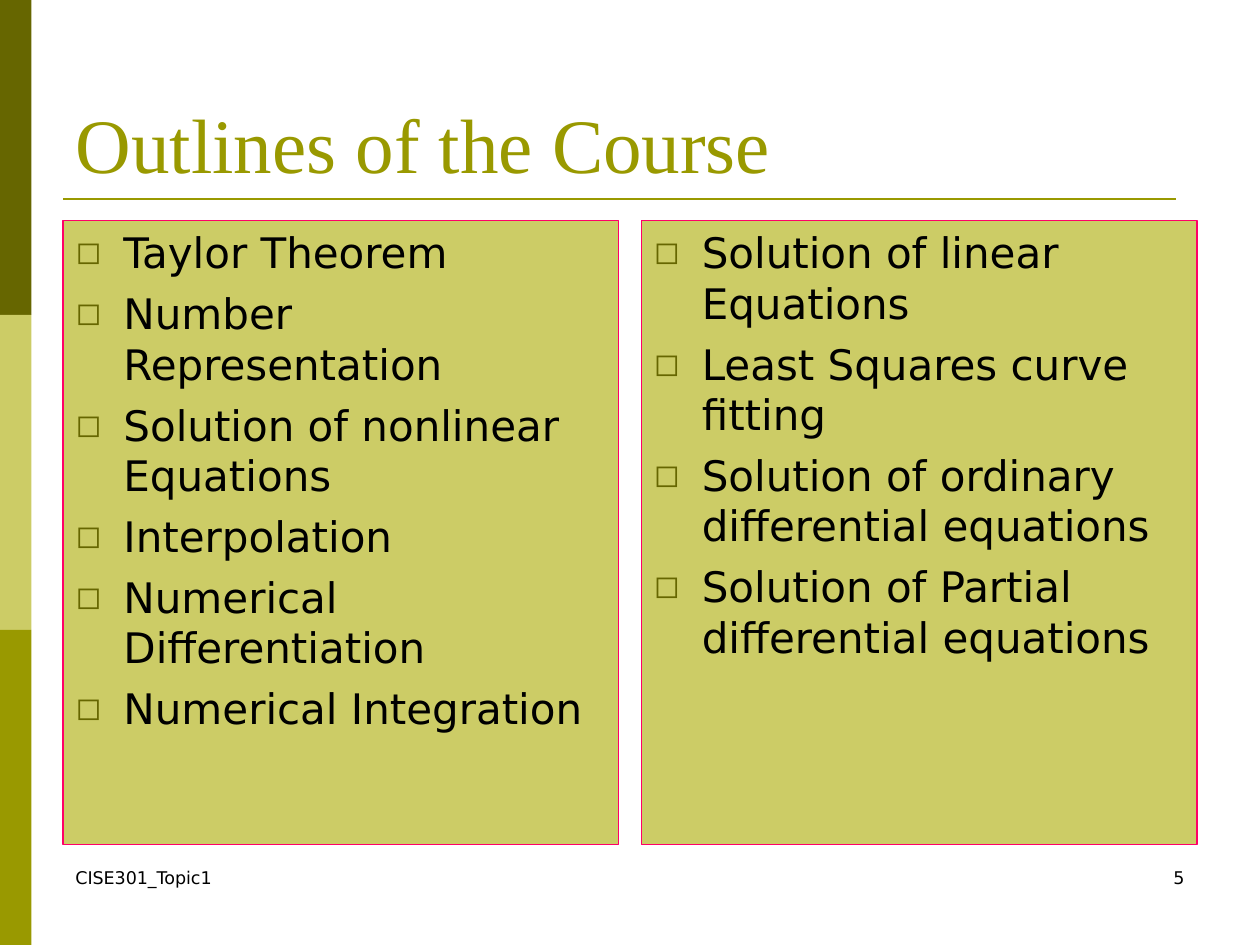
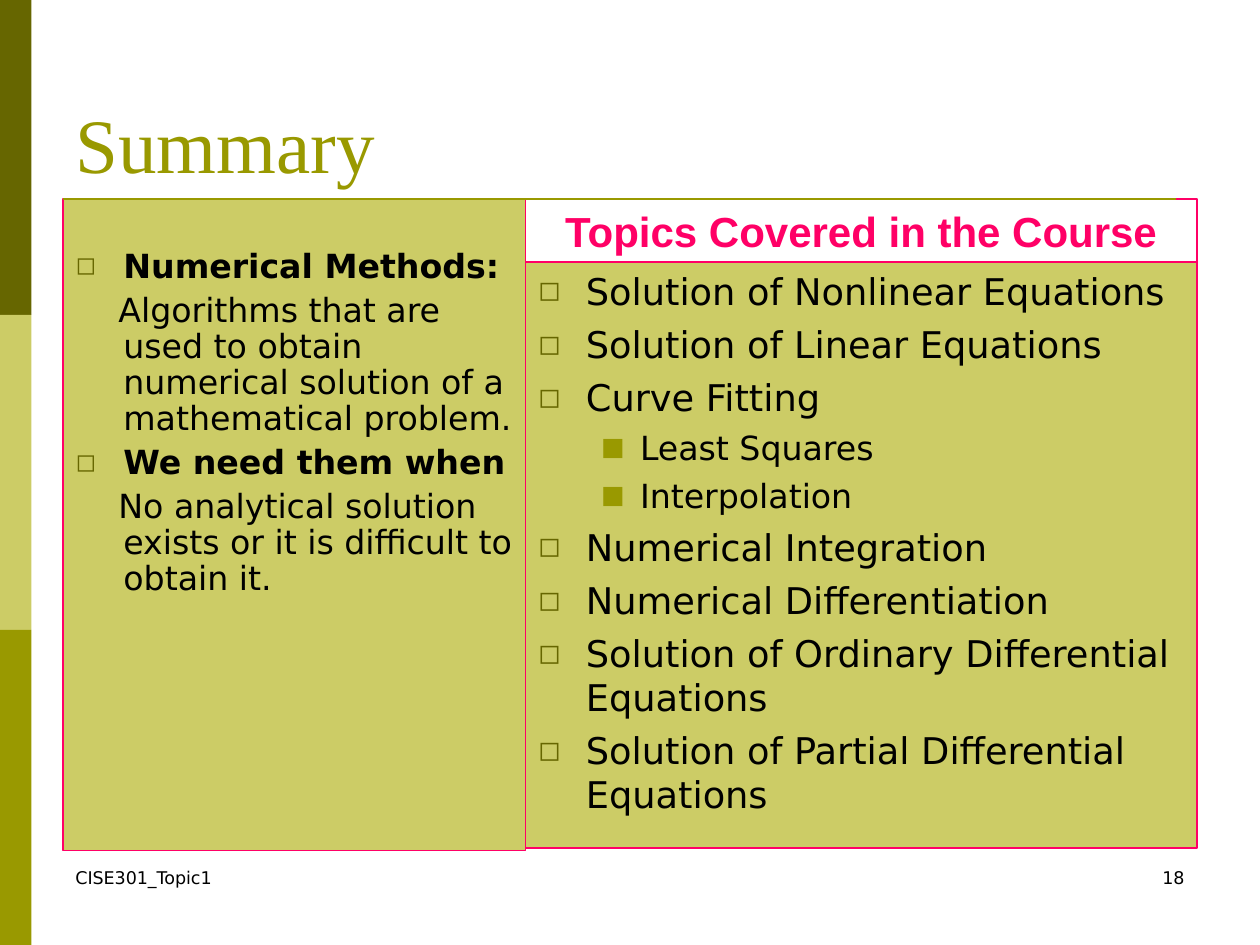
from lxml import etree
from pptx import Presentation
from pptx.dml.color import RGBColor
from pptx.enum.shapes import MSO_CONNECTOR, MSO_SHAPE
from pptx.enum.text import MSO_ANCHOR, MSO_AUTO_SIZE, PP_ALIGN
from pptx.oxml.ns import qn
from pptx.util import Inches, Pt

LEFT, CENTER, RIGHT = PP_ALIGN.LEFT, PP_ALIGN.CENTER, PP_ALIGN.RIGHT
TOP, MIDDLE, BOTTOM = MSO_ANCHOR.TOP, MSO_ANCHOR.MIDDLE, MSO_ANCHOR.BOTTOM
NO_AUTOFIT = MSO_AUTO_SIZE.NONE
RECTANGLE, STRAIGHT = MSO_SHAPE.RECTANGLE, MSO_CONNECTOR.STRAIGHT

DARK, PALE, OLIVE, PINK, BLACK = "666600", "CCCC66", "999900", "FF0066", "000000"
BODY_FONT, TITLE_FONT, HEADING_FONT = "DejaVu Sans", "Times New Roman", "Arial"
TWO_CONTENT_LAYOUT = 3
COURSE = "CISE301_Topic1"

BULLET = {"margin": 0.38, "indent": -0.38, "char": "◻", "color": DARK, "level": 0}
SUB_BULLET = {"margin": 0.81, "indent": -0.31, "char": "■", "color": OLIVE, "level": 1}
PLAIN = {"margin": 0.38, "indent": -0.04, "char": None, "color": None, "level": 0}

OUTLINE_COLUMNS = [
    ["Taylor Theorem", "Number Representation", "Solution of nonlinear Equations",
     "Interpolation", "Numerical Differentiation", "Numerical Integration"],
    ["Solution of linear Equations", "Least Squares curve fitting",
     "Solution of ordinary differential equations",
     "Solution of Partial differential equations"],
]
METHODS = [
    ("Numerical Methods:",
     "Algorithms that are used to obtain numerical solution of a mathematical problem."),
    ("We need them when",
     "No analytical solution exists or it is difficult to obtain it."),
]
TOPICS = [
    ("Solution of Nonlinear Equations", []),
    ("Solution of Linear Equations", []),
    ("Curve Fitting", ["Least Squares", "Interpolation"]),
    ("Numerical Integration", []),
    ("Numerical Differentiation", []),
    ("Solution of Ordinary Differential Equations", []),
    ("Solution of Partial Differential Equations", []),
]


def rgb(value):
    """Turn a hex string into a colour."""
    return RGBColor.from_string(value)


def apply(target, values):
    """Set attributes of an object from a dict."""
    for name, value in values.items():
        setattr(target, name, value)


def place(shape, box):
    """Move a shape to a box of left, top, width and height in inches."""
    apply(shape, dict(zip(("left", "top", "width", "height"), map(Inches, box))))


def prepare_frame(shape, anchor=TOP, inset_top=0.05):
    """Give a shape's text frame fixed margins and anchoring."""
    frame = shape.text_frame
    apply(frame, {
        "word_wrap": True, "auto_size": NO_AUTOFIT, "vertical_anchor": anchor,
        "margin_left": Inches(0.1), "margin_right": Inches(0.1),
        "margin_top": Inches(inset_top), "margin_bottom": Inches(0.05),
    })
    return frame


def write(paragraph, text, size, font=BODY_FONT, color=BLACK, bold=False, align=LEFT):
    """Write one formatted run into a paragraph."""
    paragraph.alignment = align
    run = paragraph.add_run()
    run.text = text
    apply(run.font, {"size": Pt(size), "name": font, "bold": bold})
    run.font.color.rgb = rgb(color)


def outline(shape):
    """Draw the thin pink border of a panel."""
    shape.line.color.rgb = rgb(PINK)
    shape.line.width = Pt(0.75)


def format_bullet(paragraph, style):
    """Set the indents and bullet of a paragraph."""
    paragraph.level = style["level"]
    properties = paragraph._p.get_or_add_pPr()
    properties.set("marL", str(Inches(style["margin"])))
    properties.set("indent", str(Inches(style["indent"])))
    if style["char"] is None:
        etree.SubElement(properties, qn("a:buNone"))
        return
    color = etree.SubElement(properties, qn("a:buClr"))
    etree.SubElement(color, qn("a:srgbClr"), val=style["color"])
    etree.SubElement(properties, qn("a:buSzPct"), val="75000")
    etree.SubElement(properties, qn("a:buFont"), typeface=BODY_FONT)
    etree.SubElement(properties, qn("a:buChar"), char=style["char"])


def fill_panel(shape, box, items, line_spacing=1.0, inset_top=0.05):
    """Turn a body placeholder into a panel of (text, style, size, bold) items."""
    place(shape, box)
    shape.fill.solid()
    shape.fill.fore_color.rgb = rgb(PALE)
    outline(shape)
    frame = prepare_frame(shape, inset_top=inset_top)
    for index, (text, style, size, bold) in enumerate(items):
        paragraph = frame.add_paragraph() if index else frame.paragraphs[0]
        format_bullet(paragraph, style)
        space = Pt(round(size * 0.25, 1)) if index else Pt(0)
        apply(paragraph, {"line_spacing": line_spacing, "space_before": space})
        write(paragraph, text, size, bold=bold)


def add_text(slide, box, text, size, anchor=TOP, **style):
    """Add a one-line text box."""
    shape = slide.shapes.add_textbox(*map(Inches, box))
    write(prepare_frame(shape, anchor).paragraphs[0], text, size, **style)
    return shape


def add_side_bands(slide, box):
    """Stack three equal colour bands in a box."""
    left, top, width, height = box
    colors = (DARK, PALE, OLIVE)
    step = height / len(colors)
    for index, color in enumerate(colors):
        band_box = (left, top + index * step, width, step)
        band = slide.shapes.add_shape(RECTANGLE, *map(Inches, band_box))
        band.shadow.inherit = False
        band.fill.solid()
        band.fill.fore_color.rgb = rgb(color)
        band.line.fill.background()


def add_title_rule(slide, left, top, width):
    """Draw the line under the title."""
    ends = (left, top, left + width, top)
    rule = slide.shapes.add_connector(STRAIGHT, *map(Inches, ends))
    rule.line.color.rgb = rgb(OLIVE)
    rule.line.width = Pt(1.5)
    etree.SubElement(rule._element.spPr, qn("a:effectLst"))


def add_footer(slide, box, number):
    """Write the course code and slide number at the two ends of a box."""
    left, top, width, height = box
    part = 2.33
    add_text(slide, (left, top, part, height), COURSE, 10)
    add_text(slide, (left + width - part, top, part, height), str(number), 10, align=RIGHT)


def start_slide(presentation, title):
    """Add a slide with its title and return it with its two body placeholders."""
    slide = presentation.slides.add_slide(presentation.slide_layouts[TWO_CONTENT_LAYOUT])
    place(slide.shapes.title, (0.5, 0.3, 9, 1.25))
    frame = prepare_frame(slide.shapes.title, BOTTOM)
    write(frame.paragraphs[0], title, 44, TITLE_FONT, OLIVE)
    return slide, [slide.placeholders[1], slide.placeholders[2]]


def finish_slide(slide, number):
    """Add the bands, rule and footer that every slide shares."""
    add_side_bands(slide, (0, 0, 0.25, 7.5))
    add_title_rule(slide, 0.5, 1.58, 8.83)
    add_footer(slide, (0.5, 6.83, 9, 0.5), number)


def build_outline_slide(presentation, box):
    """Build the course outline as two equal columns in a box."""
    slide, bodies = start_slide(presentation, "Outlines of the Course")
    left, top, width, height = box
    gap = 0.18
    column_width = (width - gap) / 2
    for index, (body, topics) in enumerate(zip(bodies, OUTLINE_COLUMNS)):
        column = (left + index * (column_width + gap), top, column_width, height)
        fill_panel(body, column, [(topic, BULLET, 24, False) for topic in topics])
    finish_slide(slide, 5)


def build_summary_slide(presentation, box):
    """Build the summary: methods at left, headed topics at right."""
    slide, (methods_body, topics_body) = start_slide(presentation, "Summary")
    left, top, width, height = box
    methods_width, heading_height = 3.67, 0.5
    topics_left, topics_width = left + methods_width, width - methods_width

    methods = []
    for heading, explanation in METHODS:
        methods += [(heading, BULLET, 19, True), (explanation, PLAIN, 19, False)]
    fill_panel(methods_body, (left, top, methods_width, height), methods, 0.9, 0.4)

    topics = []
    for topic, details in TOPICS:
        topics.append((topic, BULLET, 21, False))
        topics += [(detail, SUB_BULLET, 19, False) for detail in details]
    topics_box = (topics_left, top + heading_height, topics_width, height - heading_height - 0.02)
    fill_panel(topics_body, topics_box, topics)

    heading_box = (topics_left, top, topics_width, heading_height)
    outline(add_text(slide, heading_box, "Topics Covered in the Course", 24, MIDDLE,
                     font=HEADING_FONT, color=PINK, bold=True, align=CENTER))
    finish_slide(slide, 18)


def main():
    """Build and save the presentation."""
    presentation = Presentation()
    apply(presentation, {"slide_width": Inches(10), "slide_height": Inches(7.5)})
    build_outline_slide(presentation, (0.5, 1.75, 9, 4.95))
    build_summary_slide(presentation, (0.5, 1.58, 9, 5.17))
    presentation.save("out.pptx")


if __name__ == "__main__":
    main()
